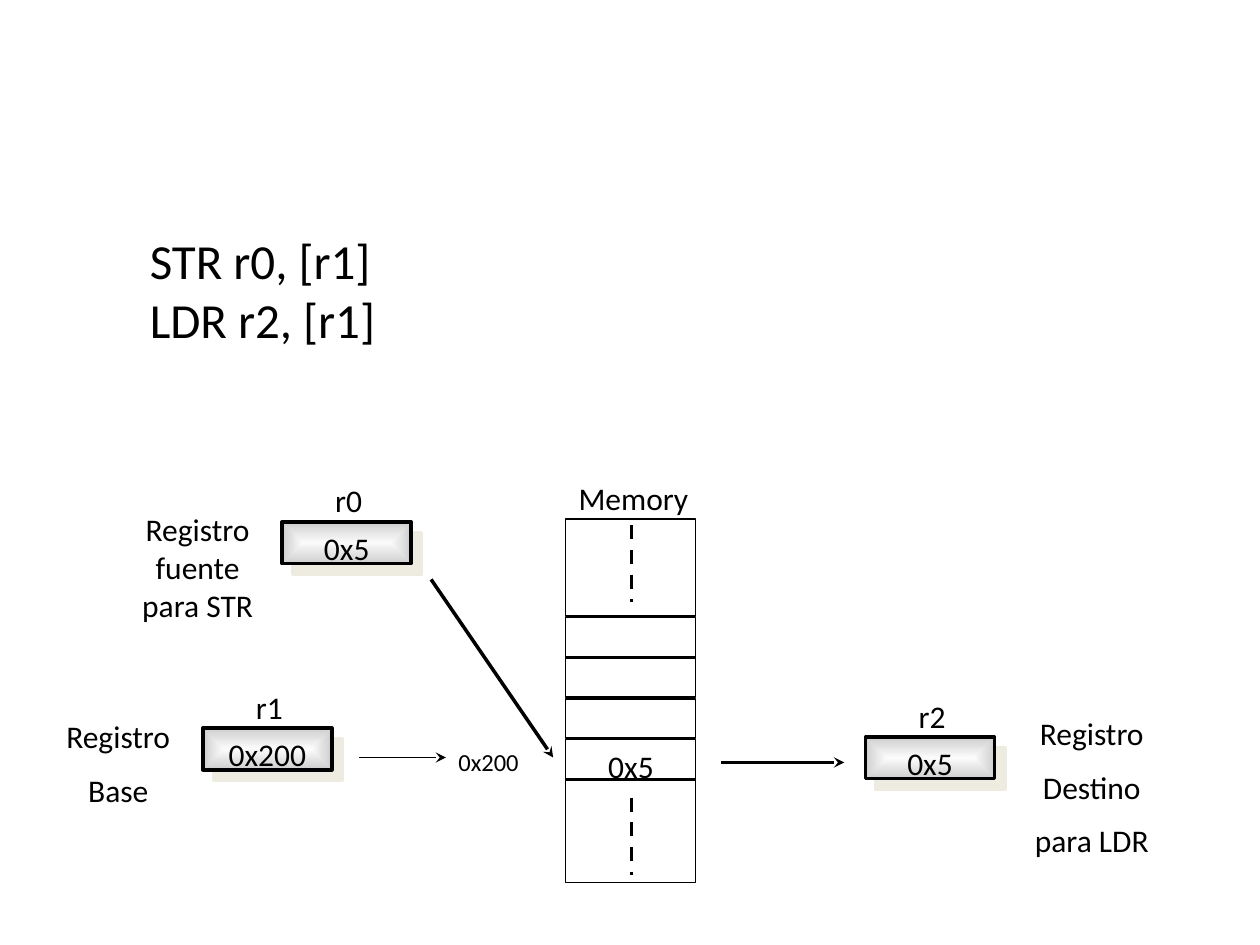
from lxml import etree
from pptx import Presentation
from pptx.dml.color import RGBColor
from pptx.enum.dml import MSO_LINE_DASH_STYLE as DASH
from pptx.enum.shapes import MSO_CONNECTOR as CONNECTOR, MSO_SHAPE as SHAPE
from pptx.enum.text import PP_ALIGN as ALIGN
from pptx.oxml import parse_xml
from pptx.oxml.ns import nsdecls, qn
from pptx.util import Cm, Pt

BLACK = RGBColor(0x00, 0x00, 0x00)
LIGHT = RGBColor(0xFB, 0xFB, 0xFB)
GRAY = RGBColor(0xCE, 0xCE, 0xCE)
SHADOW = RGBColor(0xEE, 0xEC, 0xE1)

deck = Presentation()
deck.slide_width, deck.slide_height = Cm(25.4), Cm(19.05)
page = deck.slides.add_slide(deck.slide_layouts[6])


def add_text(text, left, top, width, height=0.86, size=18, align=ALIGN.CENTER, gap=9):
    box = page.shapes.add_textbox(Cm(left), Cm(top), Cm(width), Cm(height))
    box.text_frame.word_wrap = True
    box.text_frame.text = text
    for index, para in enumerate(box.text_frame.paragraphs):
        para.alignment = align
        para.space_before = Pt(gap if index else 0)
        for span in para.runs:
            span.font.size = Pt(size)
            span.font.name = "Calibri"
            span.font.color.rgb = BLACK
    return box


def add_line(x1, y1, x2, y2, weight):
    line = page.shapes.add_connector(CONNECTOR.STRAIGHT, Cm(x1), Cm(y1), Cm(x2), Cm(y2))
    line.line.color.rgb = BLACK
    line.line.width = Pt(weight)
    etree.SubElement(line._element.spPr, qn("a:effectLst"))
    return line


code = add_text("STR r0, [r1]\nLDR r2, [r1]", 1.5, 4.52, 21.87, 2.64, 28, ALIGN.LEFT, 0)
code.text_frame.margin_left = Cm(1.52)

registers = [
    ("r0", "0x5", 5.69, 10.52),
    ("r1", "0x200", 4.09, 14.68),
    ("r2", "0x5", 17.45, 14.86),
]
for name, value, left, top in registers:
    register = page.shapes.add_shape(SHAPE.RECTANGLE, Cm(left), Cm(top), Cm(2.6), Cm(0.84))
    register.line.color.rgb = BLACK
    register.line.width = Pt(2)
    register.fill.gradient()
    for stop, color in zip(register.fill.gradient_stops, (LIGHT, GRAY)):
        stop.color.rgb = color
        stop.position = 0 if color == LIGHT else 1
    properties = register._element.spPr
    gradient = properties.find(qn("a:gradFill"))
    gradient.replace(gradient.find(qn("a:lin")), parse_xml(
        f'<a:path {nsdecls("a")} path="shape">'
        '<a:fillToRect l="50000" t="50000" r="50000" b="50000"/></a:path>'))
    properties.append(parse_xml(
        f'<a:effectLst {nsdecls("a")}><a:outerShdw dist="107950" dir="2700000" algn="ctr" '
        f'rotWithShape="0"><a:srgbClr val="{SHADOW}"/></a:outerShdw></a:effectLst>'))
    add_text(name, left - 0.25, top - 0.94, 3.18)
    add_text(value, left - 0.02, top + 0.02, 2.64)

memory_left = 11.4
word_cells = [(12.45 + 0.82 * index, 0.79) for index in range(4)]
for top, height in [(10.46, 1.96), *word_cells, (15.73, 2.06)]:
    cell = page.shapes.add_shape(
        SHAPE.RECTANGLE, Cm(memory_left), Cm(top), Cm(2.62), Cm(height))
    cell.shadow.inherit = False
    cell.fill.background()
    cell.line.color.rgb = BLACK
    cell.line.width = Pt(1)

for top in (10.59, 16.08):
    ellipsis = add_line(12.73, top, 12.73, top + 1.55, 2)
    ellipsis.line.dash_style = DASH.DASH

add_text("Memory", 11.18, 9.53, 3.18)
add_text("0x5", memory_left, 14.94, 2.64)
add_text("0x200", 8.53, 14.94, 2.64, 0.79, 14)

add_text("Registro fuente para STR", 2.41, 10.16, 3.15, 2.57)
add_text("Registro\nBase", 0.81, 14.33, 3.15, 2.95)
add_text("Registro\nDestino\npara LDR", 20.09, 14.27, 3.84, 3.33)

arrows = [
    (7.24, 15.27, 8.99, 15.27, 1),
    (8.69, 11.68, 11.15, 15.27, 2),
    (14.53, 15.37, 17.02, 15.37, 2),
]
for ends in arrows:
    arrow = add_line(*ends)
    etree.SubElement(arrow.line._get_or_add_ln(), qn("a:tailEnd"), type="stealth")

deck.save("out.pptx")
